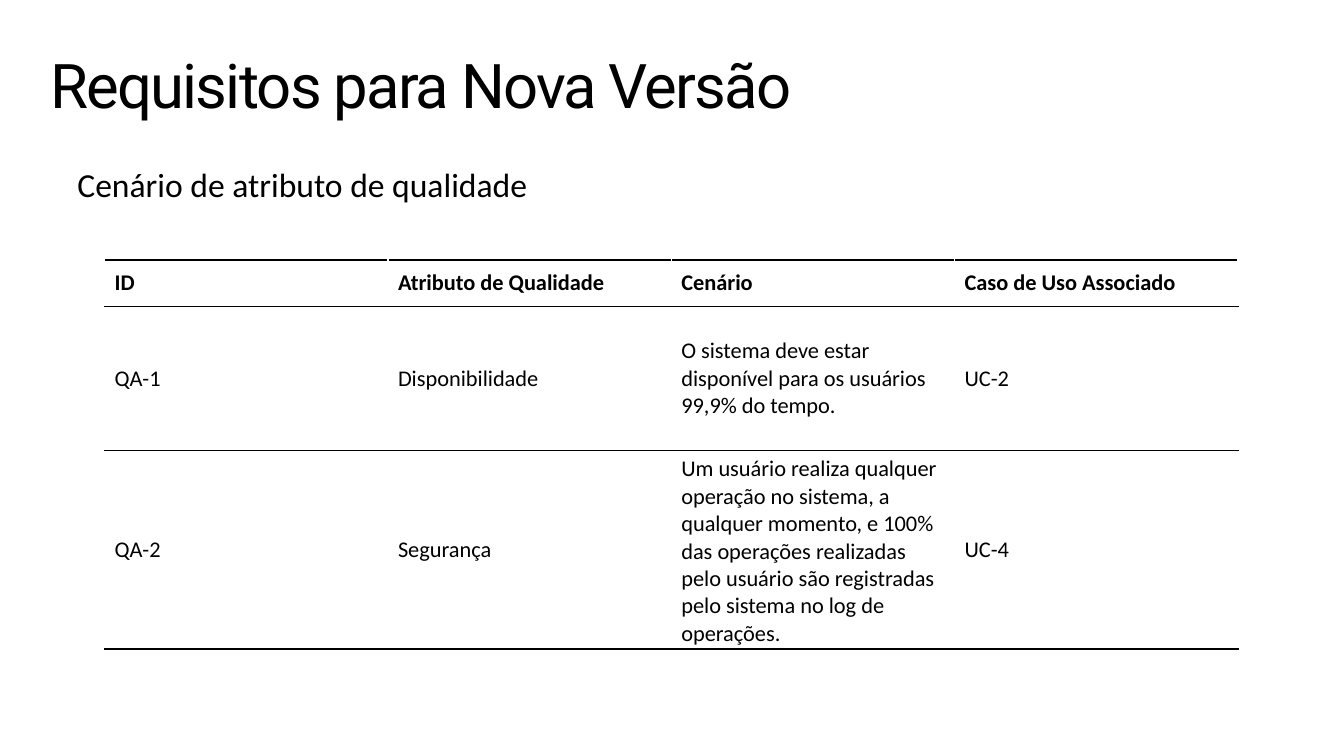
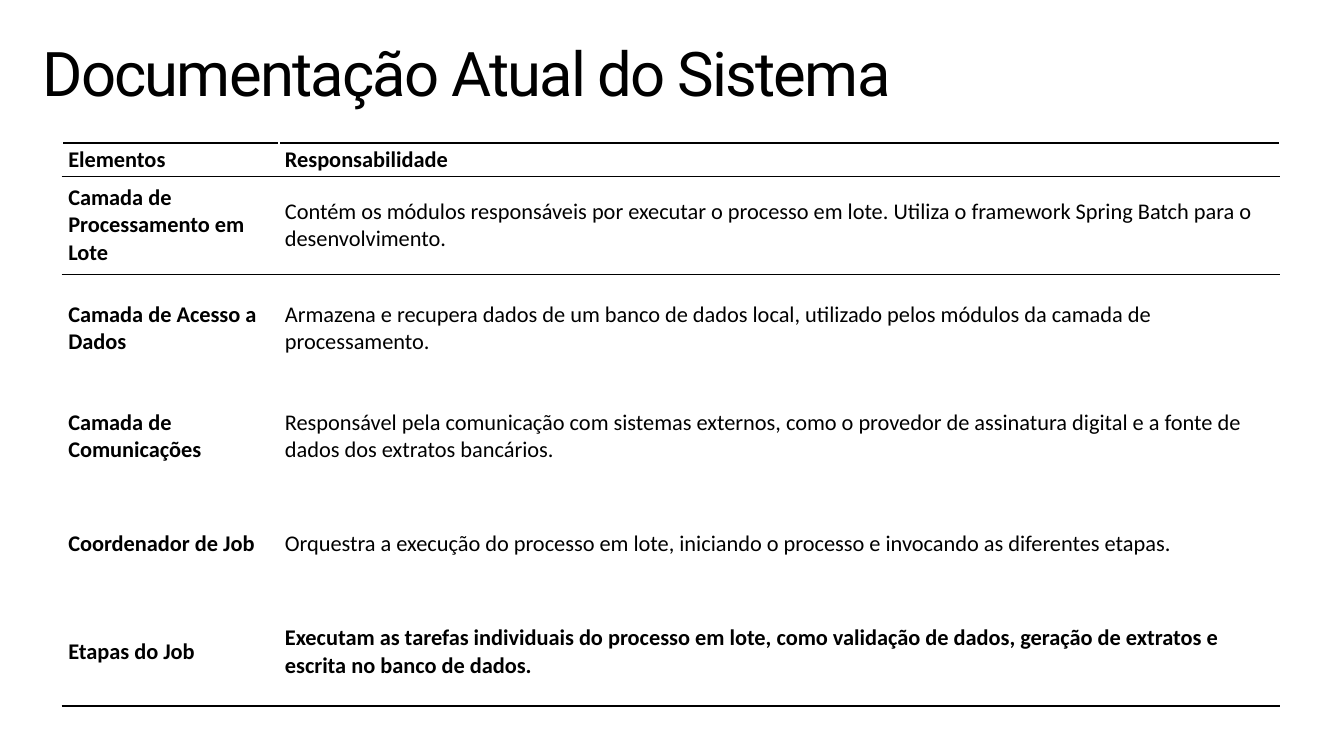
from lxml.etree import SubElement
from pptx import Presentation
from pptx.dml.color import RGBColor
from pptx.enum.text import MSO_ANCHOR as Anchor, MSO_AUTO_SIZE as AutoSize, PP_ALIGN as Align
from pptx.oxml.ns import qn
from pptx.util import Cm, Pt

BLACK = RGBColor(0x00, 0x00, 0x00)
WHITE = RGBColor(0xFF, 0xFF, 0xFF)

TITLE_FONT = {"name": "Roboto", "size": Pt(44), "bold": False}
SUBTITLE_FONT = {"name": "Calibri", "size": Pt(24), "bold": False}
CELL_FONT = {"name": "Calibri", "size": Pt(16), "bold": False}
TITLE_FRAME = {"margin_left": 0, "margin_top": Cm(0.03), "margin_right": 0,
               "margin_bottom": 0, "vertical_anchor": Anchor.TOP,
               "word_wrap": True, "auto_size": AutoSize.SHAPE_TO_FIT_TEXT}
TITLE_TRACKING = -130  # hundredths of a point
THICK, THIN = Pt(2), Pt(1)

# Boxes are left, top, width, height in centimetres.
PAGES = [
    {
        "title": "Requisitos para Nova Versão",
        "title_box": (1.27, 1.14, 22.43, 1.93),
        "subtitle": "Cenário de atributo de qualidade",
        "subtitle_box": (1.7, 4.01, 13.92, 1.27),
        "table_corner": (2.64, 6.55),
        "columns": [7.14] * 4,
        "heights": [1.17, 3.63, 5],
        "margins": (0.25, 0.13),
        "bold_cells": [],
        "rows": [
            ("ID", "Atributo de Qualidade", "Cenário", "Caso de Uso Associado"),
            ("QA-1", "Disponibilidade",
             "O sistema deve estar disponível para os usuários 99,9% do tempo.",
             "UC-2"),
            ("QA-2", "Segurança",
             "Um usuário realiza qualquer operação no sistema, a qualquer momento, "
             "e 100% das operações realizadas pelo usuário são registradas pelo "
             "sistema no log de operações.",
             "UC-4"),
        ],
    },
    {
        "title": "Documentação Atual do Sistema",
        "title_box": (1.07, 0.84, 23.7, 2.77),
        "table_corner": (1.57, 3.61),
        "columns": [5.46, 25.22],
        "heights": [0.81, 2.46] + [2.72] * 4,
        "margins": (0.15, 0.08),
        "bold_cells": [(row, 0) for row in range(1, 6)] + [(5, 1)],
        "rows": [
            ("Elementos", "Responsabilidade"),
            ("Camada de Processamento em Lote",
             "Contém os módulos responsáveis por executar o processo em lote. "
             "Utiliza o framework Spring Batch para o desenvolvimento."),
            ("Camada de Acesso a Dados",
             "Armazena e recupera dados de um banco de dados local, utilizado "
             "pelos módulos da camada de processamento."),
            ("Camada de Comunicações",
             "Responsável pela comunicação com sistemas externos, como o provedor "
             "de assinatura digital e a fonte de dados dos extratos bancários."),
            ("Coordenador de Job",
             "Orquestra a execução do processo em lote, iniciando o processo e "
             "invocando as diferentes etapas."),
            ("Etapas do Job",
             "Executam as tarefas individuais do processo em lote, como validação "
             "de dados, geração de extratos e escrita no banco de dados."),
        ],
    },
]


def apply(target, values):
    for name, value in values.items():
        setattr(target, name, value)


def write(frame, text, font):
    """Put one left-aligned black run in the frame and return its paragraph."""
    para = frame.paragraphs[0]
    para.alignment = Align.LEFT
    span = para.add_run()
    span.text = text
    apply(span.font, font)
    span.font.color.rgb = BLACK
    return para


def add_title(page, text, box):
    title = page.shapes.title
    apply(title, dict(zip(("left", "top", "width", "height"), map(Cm, box))))
    apply(title.text_frame, TITLE_FRAME)
    para = write(title.text_frame, text, TITLE_FONT)
    para.space_before = Pt(1.1)
    para.runs[0].font._element.set("spc", str(TITLE_TRACKING))


def add_subtitle(page, text, box):
    frame = page.shapes.add_textbox(*map(Cm, box)).text_frame
    frame.word_wrap = True
    write(frame, text, SUBTITLE_FONT)


def add_border(cell, side, width):
    line = SubElement(cell._tc.get_or_add_tcPr(), qn(f"a:{side}"), w=str(width))
    fill = SubElement(line, qn("a:solidFill"))
    SubElement(fill, qn("a:srgbClr"), val=str(BLACK))


def add_rule_table(page, content):
    """Add a white table with rules around the header, under row one and at the end."""
    rows, columns, heights = (content[key] for key in ("rows", "columns", "heights"))
    size = sum(columns), sum(heights)
    table = page.shapes.add_table(len(rows), len(columns),
                                  *map(Cm, content["table_corner"] + size)).table
    table.horz_banding = False
    for column, width in zip(table.columns, columns):
        column.width = Cm(width)
    for row, height in zip(table.rows, heights):
        row.height = Cm(height)

    rules = {0: THICK, 1: THIN, 2: THIN, len(rows): THICK}
    side, edge = map(Cm, content["margins"])
    cell_format = {"margin_left": side, "margin_right": side, "margin_top": edge,
                   "margin_bottom": edge, "vertical_anchor": Anchor.MIDDLE}
    for r, texts in enumerate(rows):
        for c, text in enumerate(texts):
            cell = table.cell(r, c)
            apply(cell, cell_format)
            for name, boundary in (("lnT", r), ("lnB", r + 1)):
                if boundary in rules:
                    add_border(cell, name, rules[boundary])
            cell.fill.solid()
            cell.fill.fore_color.rgb = WHITE
            bold = r == 0 or (r, c) in content["bold_cells"]
            write(cell.text_frame, text, CELL_FONT | {"bold": bold})


def main():
    deck = Presentation()
    deck.slide_width, deck.slide_height = Cm(33.87), Cm(19.05)
    title_only = deck.slide_layouts[5]
    for content in PAGES:
        page = deck.slides.add_slide(title_only)
        add_title(page, content["title"], content["title_box"])
        if "subtitle" in content:
            add_subtitle(page, content["subtitle"], content["subtitle_box"])
        add_rule_table(page, content)
    deck.save("out.pptx")


if __name__ == "__main__":
    main()
